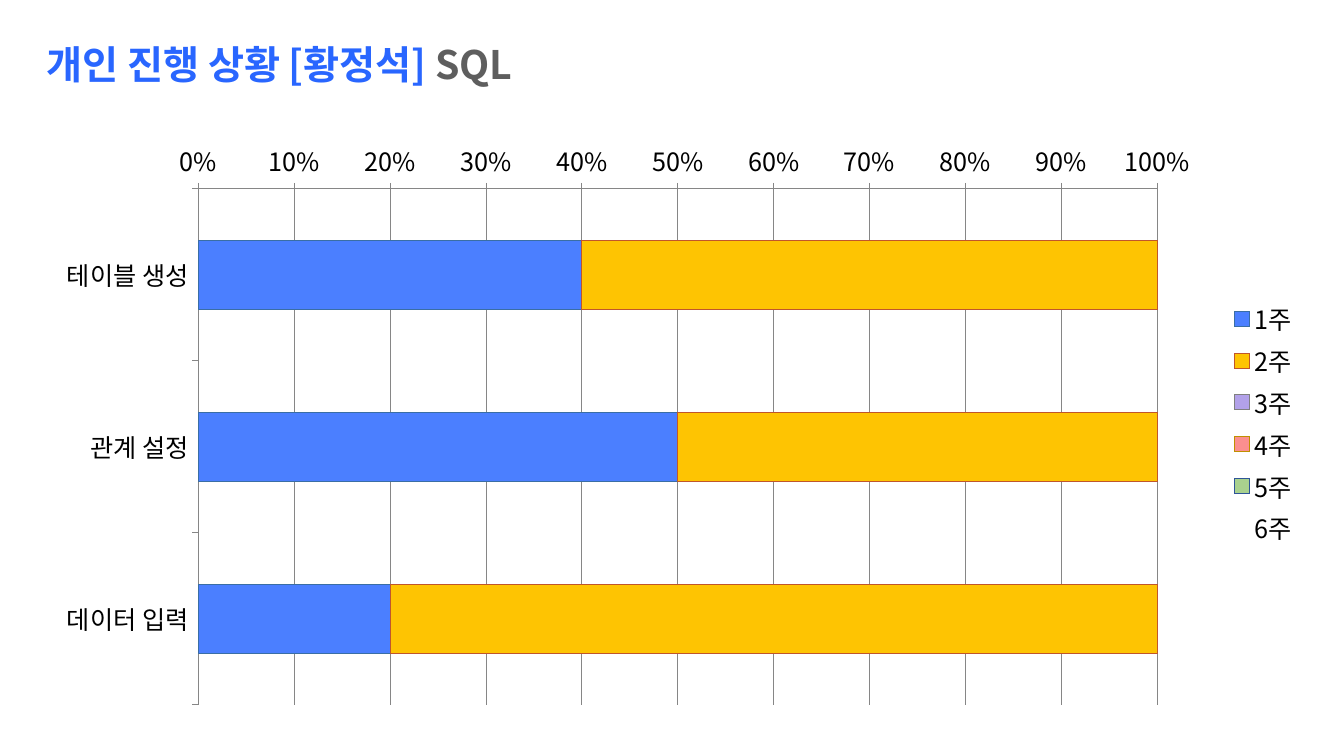
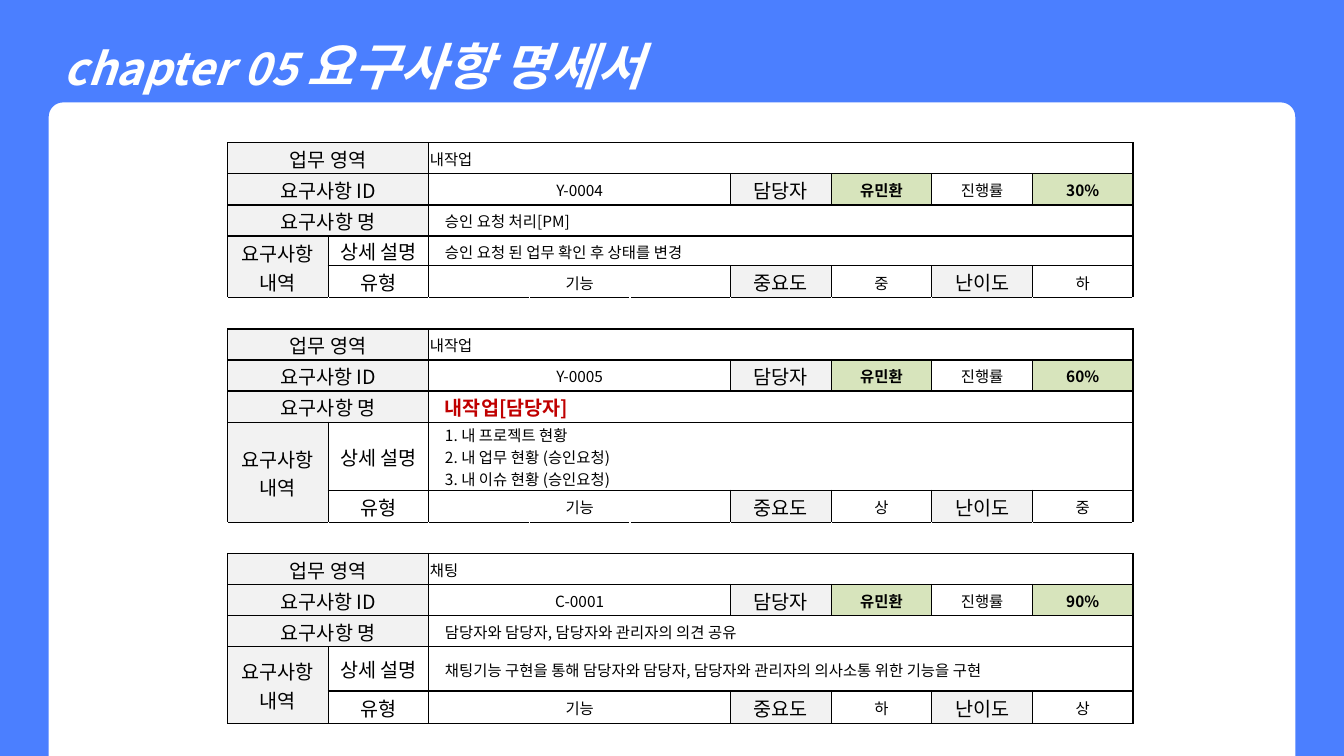
import math

import lxml.etree as etree
import pptx
import pptx.chart.data
import pptx.dml.color
import pptx.enum.chart
import pptx.enum.text
import pptx.oxml.ns
import pptx.util

HUES = {
    "blue": "4B7FFF", "title": "2966FF", "gray": "5E5E5E", "white": "FFFFFF",
    "black": "000000", "red": "C00000", "head": "F2F2F2", "green": "D7E4BC",
    "grid": "868686", "gold": "FEC402", "lilac": "B2A1E9", "pink": "FB8F8F",
    "leaf": "A9D18E", "navy": "3A6EA5", "rust": "C0562B", "dusk": "808080",
    "ochre": "BF9000", "deep": "2F5597",
}
FONT = "Noto Sans CJK KR"
COLS, ROWS = 160, 90
ALIGN = pptx.enum.text.PP_ALIGN
MID = pptx.enum.text.MSO_ANCHOR.MIDDLE
qn = pptx.oxml.ns.qn

KINDS = {
    "head": {"size": 14, "fill": "head"},
    "label": {"size": 14},
    "text": {"size": 11},
    "mark": {"size": 11, "bold": True, "fill": "green"},
    "area": {"size": 11, "left": True},
    "note": {"size": 11, "left": True, "pad": 0.16},
    "hot": {"size": 14, "left": True, "pad": 0.16, "bold": True, "hue": "red"},
}


def tint(name):
    return pptx.dml.color.RGBColor.from_string(HUES[name])


class Deck:
    def __init__(self):
        self.file = pptx.Presentation()
        self.file.slide_width = pptx.util.Inches(40 / 3)
        self.file.slide_height = pptx.util.Inches(7.5)
        self.slide = None

    def page(self):
        self.slide = self.file.slides.add_slide(self.file.slide_layouts[5])

    def wide(self, cols):
        return round(self.file.slide_width * cols / COLS)

    def tall(self, rows):
        return round(self.file.slide_height * rows / ROWS)

    def box(self, x, y, w, h):
        return self.wide(x), self.tall(y), self.wide(w), self.tall(h)

    def run(self, para, text, size, hue="black", bold=False, slant=False):
        run = para.add_run()
        run.text = text
        font = run.font
        font.name, font.size = FONT, pptx.util.Pt(size)
        font.bold, font.italic = bold, slant
        font.color.rgb = tint(hue)
        rpr = run._r.get_or_add_rPr()
        etree.SubElement(rpr, qn("a:ea"), typeface=FONT)

    def title(self, place, runs, pad=0, space=1.0, slant=False):
        shape = self.slide.shapes.title
        shape.left, shape.top, shape.width, shape.height = self.box(*place)
        shape.element.getparent().append(shape.element)
        frame = shape.text_frame
        frame.auto_size = pptx.enum.text.MSO_AUTO_SIZE.NONE
        frame.word_wrap = False
        frame.vertical_anchor = MID
        frame.margin_left = pptx.util.Inches(pad)
        frame.margin_right = frame.margin_top = frame.margin_bottom = 0
        para = frame.paragraphs[0]
        para.alignment = ALIGN.LEFT
        para.line_spacing = space
        for text, size, hue in runs:
            self.run(para, text, size, hue, True, slant)

    def frame(self, side, top, curve):
        spots = [(COLS, 0), (COLS, ROWS), (COLS - side, ROWS)]
        for mid, start in ((COLS - side - curve, 0), (side + curve, 90)):
            for turn in range(start, start + 91, 10):
                angle = math.radians(turn)
                spots.append((mid + curve * math.cos(angle),
                              top + curve * (1 - math.sin(angle))))
        spots += [(side, ROWS), (0, ROWS)]
        form = self.slide.shapes.build_freeform(0, 0)
        form.add_line_segments([(self.wide(x), self.tall(y)) for x, y in spots])
        shape = form.convert_to_shape()
        shape.shadow.inherit = False
        shape.fill.solid()
        shape.fill.fore_color.rgb = tint("blue")
        shape.line.fill.background()

    def chart(self, place, cats, series, plot):
        data = pptx.chart.data.CategoryChartData()
        data.categories = cats
        for name, vals, fill, edge in series:
            data.add_series(name, vals)
        kinds = pptx.enum.chart
        chart = self.slide.shapes.add_chart(
            kinds.XL_CHART_TYPE.BAR_STACKED_100, *self.box(*place), data).chart
        chart.has_title = False
        chart.font.name, chart.font.size = FONT, pptx.util.Pt(18)
        chart.font.color.rgb = tint("black")
        for rpr in chart.element.xpath("c:txPr//a:defRPr"):
            etree.SubElement(rpr, qn("a:ea"), typeface=FONT)
        chart.has_legend = True
        chart.legend.position = kinds.XL_LEGEND_POSITION.RIGHT
        chart.legend.include_in_layout = False
        bars = chart.plots[0]
        bars.gap_width, bars.overlap = 150, 100
        bars.vary_by_categories = False
        for item, (name, vals, fill, edge) in zip(bars.series, series):
            if fill:
                item.format.fill.solid()
                item.format.fill.fore_color.rgb = tint(fill)
                item.format.line.color.rgb = tint(edge)
                item.format.line.width = pptx.util.Pt(0.75)
            else:
                item.format.fill.background()
                item.format.line.fill.background()
        chart.category_axis.reverse_order = True
        value = chart.value_axis
        value.has_major_gridlines = True
        value.tick_labels.number_format = "0%"
        value.tick_labels.number_format_is_linked = False
        value.major_unit = 0.1
        for axis in (chart.category_axis, value):
            axis.major_tick_mark = kinds.XL_TICK_MARK.OUTSIDE
            axis.minor_tick_mark = kinds.XL_TICK_MARK.NONE
            axis.format.line.color.rgb = tint("grid")
        value.major_gridlines.format.line.color.rgb = tint("grid")
        self.inset(chart, plot)

    def inset(self, chart, plot):
        area = chart.element.xpath("c:chart/c:plotArea")[0]
        for old in area.findall(qn("c:layout")):
            area.remove(old)
        layout = etree.Element(qn("c:layout"))
        area.insert(0, layout)
        manual = etree.SubElement(layout, qn("c:manualLayout"))
        parts = [("layoutTarget", "inner"), ("xMode", "edge"), ("yMode", "edge")]
        for key, val in parts + list(zip("xywh", plot)):
            etree.SubElement(manual, qn("c:" + key), val=str(val))

    def table(self, x, y, width, count, rows):
        place = self.box(x, y, width, sum(rows))
        table = self.slide.shapes.add_table(len(rows), count, *place).table
        table.first_row = table.horz_banding = False
        for col in table.columns:
            col.width = self.wide(width / count)
        for row, high in zip(table.rows, rows):
            row.height = self.tall(high)
        for cell in table.iter_cells():
            cell.fill.background()
            self.pad(cell)
            para = cell.text_frame.paragraphs[0]
            para._p.get_or_add_endParaRPr().set("sz", "1100")
        return table

    def pad(self, cell, left=0.01):
        cell.margin_left = pptx.util.Inches(left)
        cell.margin_right = cell.margin_top = pptx.util.Inches(0.01)
        cell.margin_bottom = 0
        cell.vertical_anchor = MID

    def rule(self, cell, sides):
        tcpr = cell._tc.get_or_add_tcPr()
        for spot, side in enumerate(sides):
            line = etree.Element(qn("a:ln" + side), w="12700")
            fill = etree.SubElement(line, qn("a:solidFill"))
            etree.SubElement(fill, qn("a:srgbClr"), val=HUES["black"])
            tcpr.insert(spot, line)

    def cell(self, table, row, col, high, wide, kind, text):
        style = KINDS[kind]
        cell = table.cell(row, col)
        if high * wide > 1:
            cell.merge(table.cell(row + high - 1, col + wide - 1))
        if "fill" in style:
            cell.fill.solid()
            cell.fill.fore_color.rgb = tint(style["fill"])
        self.pad(cell, style.get("pad", 0.01))
        para = cell.text_frame.paragraphs[0]
        para.alignment = ALIGN.LEFT if style.get("left") else ALIGN.CENTER
        for spot, line in enumerate(text.split("\n")):
            if spot:
                para.add_line_break()
            self.run(para, line, style["size"], style.get("hue", "black"),
                     style.get("bold", False))

    def card(self, table, top, area, code, rate, name, kind, note, weight, hard):
        parts = [
            (0, 0, 1, 2, "head", "업무 영역"), (0, 2, 1, 7, "area", area),
            (1, 0, 1, 2, "head", "요구사항 ID"), (1, 2, 1, 3, "text", code),
            (1, 5, 1, 1, "head", "담당자"), (1, 6, 1, 1, "mark", "유민환"),
            (1, 7, 1, 1, "text", "진행률"), (1, 8, 1, 1, "mark", rate),
            (2, 0, 1, 2, "head", "요구사항 명"), (2, 2, 1, 7, kind, name),
            (3, 0, 2, 1, "head", "요구사항 내역"),
            (3, 1, 1, 1, "label", "상세 설명"), (3, 2, 1, 7, "note", note),
            (4, 1, 1, 1, "label", "유형"), (4, 2, 1, 3, "text", "기능"),
            (4, 5, 1, 1, "head", "중요도"), (4, 6, 1, 1, "text", weight),
            (4, 7, 1, 1, "head", "난이도"), (4, 8, 1, 1, "text", hard),
        ]
        for row, *rest in parts:
            self.cell(table, top + row, *rest)


def status(deck):
    deck.page()
    deck.title((5.5, 4.8, 69.5, 5.6),
               [("개인 진행 상황 [황정석] ", 28, "title"), ("SQL", 28, "gray")])
    none = [None] * 3
    series = [
        ("1주", [40, 50, 20], "blue", "navy"),
        ("2주", [60, 50, 80], "gold", "rust"),
        ("3주", none, "lilac", "dusk"),
        ("4주", none, "pink", "ochre"),
        ("5주", none, "leaf", "deep"),
        ("6주", none, None, None),
    ]
    deck.chart((5.6, 15.5, 150.2, 69.8), ["테이블 생성", "관계 설정", "데이터 입력"],
               series, (0.12, 0.1, 0.76, 0.88))


def needs(deck):
    deck.page()
    deck.frame(5.8, 12.2, 1.7)
    deck.title((6, 0.84, 148, 10.4),
               [("chapter 05 ", 32, "white"), ("요구사항 명세서", 36, "white")],
               0.13, 1.5, True)
    cards = [
        ("내작업", "Y-0004", "30%", "승인 요청 처리[PM]", "note",
         "승인 요청 된 업무 확인 후 상태를 변경", "중", "하"),
        ("내작업", "Y-0005", "60%", "내작업[담당자]", "hot",
         "1. 내 프로젝트 현황\n2. 내 업무 현황 (승인요청)\n3. 내 이슈 현황 (승인요청)",
         "상", "중"),
        ("채팅", "C-0001", "90%", "담당자와 담당자, 담당자와 관리자의 의견 공유", "note",
         "채팅기능 구현을 통해 담당자와 담당자, 담당자와 관리자의 의사소통 위한 기능을 구현",
         "하", "상"),
    ]
    base, step = 3.7, 6
    rows = []
    for high in (3, 7.92, 5.28):
        rows += [base] * 3 + [high, 3.84, base]
    rows.pop()
    table = deck.table(27.1, 17, 107.8, 9, rows)
    for spot, card in enumerate(cards):
        deck.card(table, spot * step, *card)
    for row in range(len(rows)):
        gap = row % step == step - 1
        for col in range(9):
            deck.rule(table.cell(row, col), "TB" if gap else "LRTB")


def main():
    deck = Deck()
    status(deck)
    needs(deck)
    deck.file.save("out.pptx")


if __name__ == "__main__":
    main()
